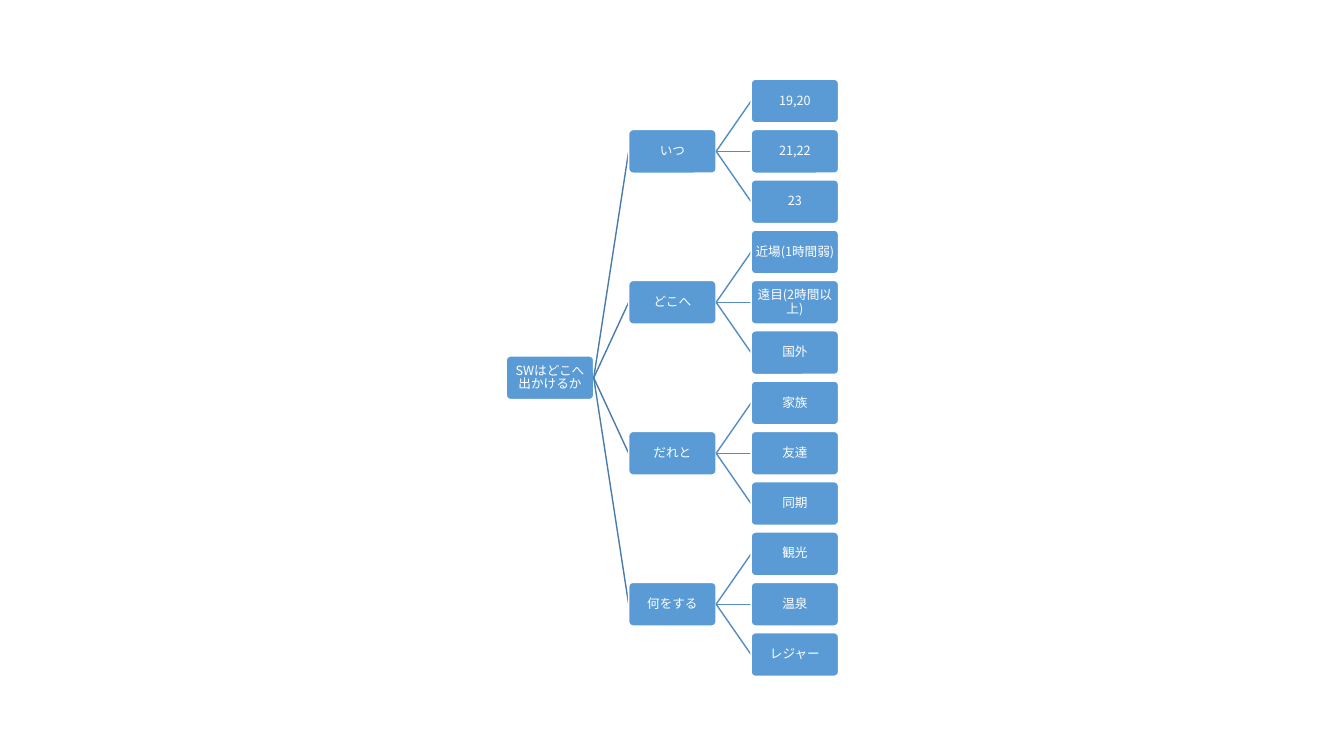
"""Draw a three-level tree of choices for a holiday outing."""
from lxml import etree
from pptx import Presentation
from pptx import util as u
from pptx.dml.color import RGBColor
from pptx.enum import shapes, text
from pptx.oxml import ns

FONT = "Noto Sans CJK JP"
LEFT, PITCH, STEP, TOP = 361.6, 87.45, 35.94, 72.2
WIDE, HIGH = 62.5, 31.25
ROOT = "SWはどこへ出かけるか"
TREE = {
    "いつ": ["19,20", "21,22", "23"],
    "どこへ": ["近場(1時間弱)", "遠目(2時間以上)", "国外"],
    "だれと": ["家族", "友達", "同期"],
    "何をする": ["観光", "温泉", "レジャー"],
}


def color(code):
    return RGBColor.from_string(code)


def node(label, level, mid, start=None):
    left = LEFT + level * PITCH
    if start is not None:
        link = slide.shapes.add_connector(
            shapes.MSO_CONNECTOR.STRAIGHT,
            u.Pt(left - PITCH + WIDE), u.Pt(start), u.Pt(left), u.Pt(mid))
        link.line.color.rgb = color("497CAB" if level == 1 else "538DC1")
        link.line.width = u.Pt(1)
        etree.SubElement(link._element.spPr, ns.qn("a:effectLst"))
    box = slide.shapes.add_shape(
        shapes.MSO_SHAPE.ROUNDED_RECTANGLE,
        u.Pt(left), u.Pt(mid - HIGH / 2), u.Pt(WIDE), u.Pt(HIGH))
    box.adjustments[0] = 0.1
    box.shadow.inherit = False
    box.fill.solid()
    box.fill.fore_color.rgb = color("5B9BD5")
    box.line.color.rgb = color("FFFFFF")
    box.line.width = u.Pt(1)
    frame = box.text_frame
    frame.word_wrap = True
    frame.vertical_anchor = text.MSO_ANCHOR.MIDDLE
    frame.margin_left = frame.margin_right = u.Pt(1.5)
    frame.margin_top = frame.margin_bottom = u.Pt(1.5)
    para = frame.paragraphs[0]
    para.alignment = text.PP_ALIGN.CENTER
    para.line_spacing = 0.9
    para.space_after = u.Pt(3.15)
    run = para.add_run()
    run.text = label
    run.font.size = u.Pt(9)
    run.font.name = FONT
    run.font.color.rgb = color("FFFFFF")
    east = etree.SubElement(run._r.get_or_add_rPr(), ns.qn("a:ea"))
    east.set("typeface", FONT)


deck = Presentation()
deck.slide_width, deck.slide_height = u.Pt(960), u.Pt(540)
slide = deck.slides.add_slide(deck.slide_layouts[6])

center = TOP + 5.5 * STEP
node(ROOT, 0, center)
for row, (branch, leaves) in enumerate(TREE.items()):
    mid = TOP + (3 * row + 1) * STEP
    node(branch, 1, mid, center)
    for spot, leaf in enumerate(leaves):
        node(leaf, 2, mid + (spot - 1) * STEP, mid)

deck.save("out.pptx")
